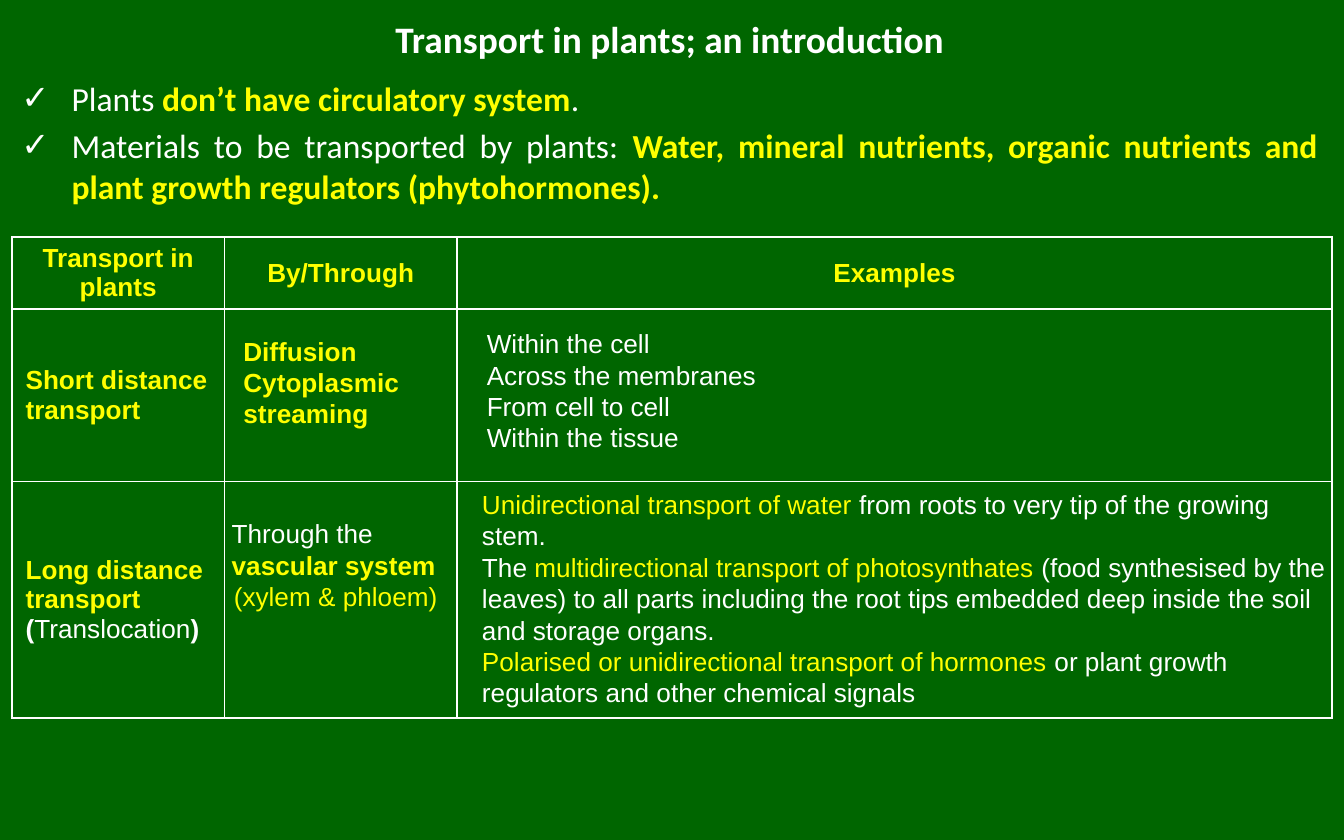
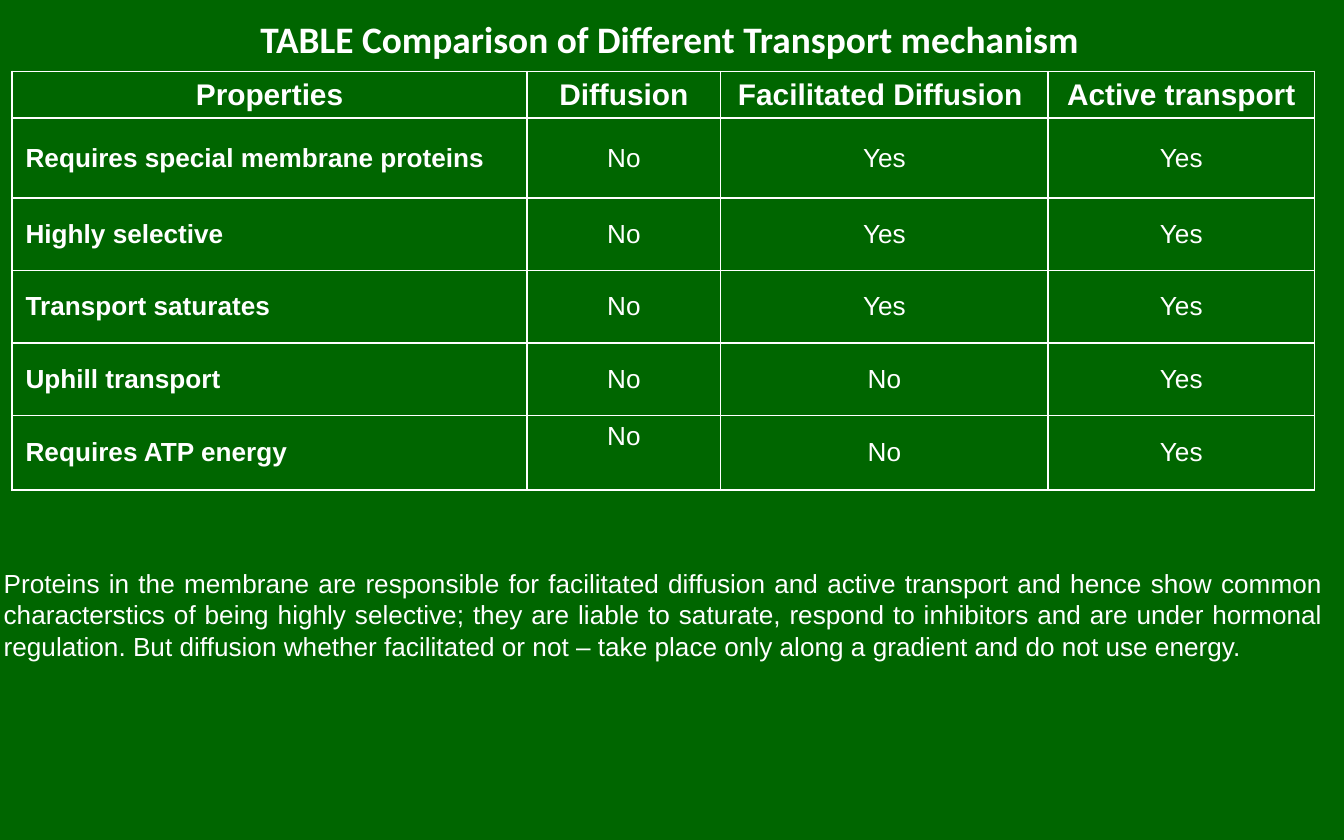
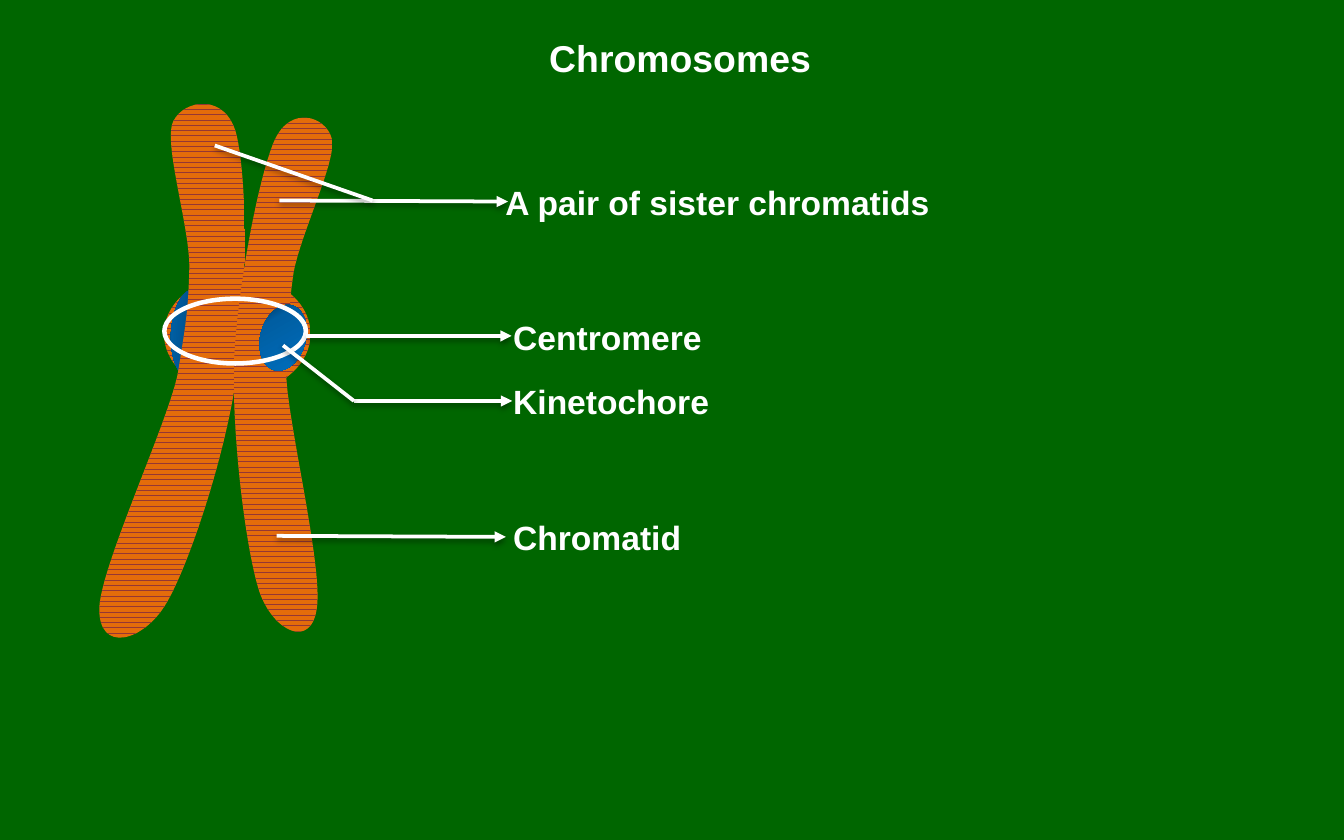
from copy import deepcopy
from dataclasses import dataclass
from math import cos, radians, sin

from lxml.etree import SubElement
from pptx import Presentation
from pptx.dml.color import RGBColor as RGB
from pptx.enum.dml import MSO_PATTERN as PATTERN
from pptx.enum.shapes import MSO_CONNECTOR as CONNECTOR, MSO_SHAPE as SHAPE
from pptx.enum.text import MSO_ANCHOR as ANCHOR, MSO_AUTO_SIZE as AUTO, PP_ALIGN as ALIGN
from pptx.oxml import parse_xml
from pptx.oxml.ns import nsdecls, qn
from pptx.util import Cm, Pt


@dataclass(frozen=True)
class Theme:
    back: str = "006600"
    text: str = "FFFFFF"
    accent: str = "FFFF00"
    ring: str = "EEECE1"
    chromatin: str = "E46C0A"
    waves: str = "953735"
    blues: tuple = ("004272", "005EA2", "0070C0")
    shadow: str = "000000"
    heading_font: str = "Calibri"
    body_font: str = "Arial"
    title: int = 20
    label: int = 18
    table_head: int = 16
    body: int = 14
    border: float = 1
    pointer: float = 2


T = Theme()
ACCENT = dict(color=T.accent)
KEY = dict(color=T.accent, bold=True)
TITLE_BOX = (0.15, 0.1, 25.02, 1.24)


# Text
def add_bullet(p, char, indent=0.95):
    pPr = p._p.get_or_add_pPr()
    pPr.set("marL", str(Cm(indent)))
    pPr.set("indent", str(-Cm(indent)))
    pPr.append(parse_xml(f'<a:buFont {nsdecls("a")} typeface="{T.body_font}"/>'))
    pPr.append(parse_xml(f'<a:buChar {nsdecls("a")} char="{char}"/>'))


def write(tf, paragraphs, size=T.body, font=T.body_font, color=T.text, bold=False,
          align=ALIGN.LEFT, bullet=None, gap=0):
    """A paragraph is a string or a list of runs; a run is a string or (string, format)."""
    if isinstance(paragraphs, str):
        paragraphs = [paragraphs]
    for i, runs in enumerate(paragraphs):
        p = tf.add_paragraph() if i else tf.paragraphs[0]
        p.alignment = align
        p.space_before = Pt(gap if i else 0)
        if bullet:
            add_bullet(p, bullet)
        for run in [runs] if isinstance(runs, str) else runs:
            text, own = (run, {}) if isinstance(run, str) else run
            r = p.add_run()
            r.text = text
            r.font.name, r.font.size = font, Pt(size)
            r.font.bold = own.get("bold", bold)
            r.font.color.rgb = RGB.from_string(own.get("color", color))


def place(sp, box):
    sp.left, sp.top, sp.width, sp.height = map(Cm, box)


def add_title(s, text, box=TITLE_BOX, font=T.heading_font):
    sp = s.shapes.title
    place(sp, box)
    tf = sp.text_frame
    tf.auto_size, tf.vertical_anchor = AUTO.NONE, ANCHOR.MIDDLE
    write(tf, text, size=T.title, font=font, bold=True, align=ALIGN.CENTER)


def add_text(shapes, paragraphs, box, wrap=True, **fmt):
    tf = shapes.add_textbox(*map(Cm, box)).text_frame
    tf.word_wrap, tf.auto_size = wrap, AUTO.SHAPE_TO_FIT_TEXT
    write(tf, paragraphs, **fmt)
    return tf


# Tables
def add_borders(cell):
    tcPr = cell._tc.get_or_add_tcPr()
    for side in ("lnL", "lnR", "lnT", "lnB"):
        tcPr.append(parse_xml(
            f'<a:{side} {nsdecls("a")} w="{Pt(T.border)}"><a:solidFill>'
            f'<a:srgbClr val="{T.text}"/></a:solidFill></a:{side}>'))


def add_grid(s, left, top, widths, heights, cells, color=T.text, head_size=T.body):
    size = map(Cm, (left, top, sum(widths), sum(heights)))
    table = s.shapes.add_table(len(heights), len(widths), *size).table
    table.first_row = table.horz_banding = False
    for column, width in zip(table.columns, widths):
        column.width = Cm(width)
    for i, (row, height) in enumerate(zip(table.rows, heights)):
        row.height = Cm(height)
        for j, cell in enumerate(row.cells):
            add_borders(cell)
            cell.fill.background()
            cell.vertical_anchor = ANCHOR.MIDDLE
            if cells[i][j]:
                write(cell.text_frame, cells[i][j], color=color,
                      size=T.body if i else head_size, bold=i == 0 or j == 0,
                      align=ALIGN.LEFT if i and j == 0 else ALIGN.CENTER)
    return table


# Drawing
def finish(sp):
    sp.shadow.inherit = False
    sp.line.fill.background()


def fill_waves(sp):
    finish(sp)
    sp.fill.patterned()
    sp.fill.pattern = PATTERN.WAVE
    sp.fill.fore_color.rgb = RGB.from_string(T.waves)
    sp.fill.back_color.rgb = RGB.from_string(T.chromatin)


def add_kinetochore(shapes, box, rotation, middle, angle):
    sp = shapes.add_shape(SHAPE.OVAL, *map(Cm, box))
    sp.rotation = rotation
    finish(sp)
    sp.fill.gradient()
    stops = sp._element.spPr.find(".//" + qn("a:gsLst"))
    stops.append(deepcopy(stops[-1]))
    sp.fill.gradient_angle = -angle % 360
    for stop, position, color in zip(sp.fill.gradient_stops, (0.14, middle, 1), T.blues):
        stop.position = position
        stop.color.rgb = RGB.from_string(color)


def add_donut(shapes, box, thickness):
    sp = shapes.add_shape(SHAPE.DONUT, *map(Cm, box))
    sp.adjustments[0] = thickness
    return sp


def trace(points, steps=24):
    """Points along a closed chain of cubic curves, to find how far it reaches."""
    for i in range(0, len(points) - 1, 3):
        for k in range(1, steps + 1):
            t = k / steps
            weights = ((1 - t) ** 3, 3 * t * (1 - t) ** 2, 3 * t * t * (1 - t), t ** 3)
            yield tuple(sum(w * pt[axis] for w, pt in zip(weights, points[i:i + 4]))
                        for axis in (0, 1))


def add_chromatid(shapes, points, rotation=0, centre=(0, 0)):
    """Closed outline: a start, then two handles and an end for each curve.

    It is turned upright about its centre, and the shape's rotation tilts it again.
    """
    c, n = cos(radians(rotation)), sin(radians(rotation))
    cx, cy = centre
    upright = [(Cm(cx + (x - cx) * c + (y - cy) * n), Cm(cy - (x - cx) * n + (y - cy) * c))
               for x, y in points + points[:1]]
    xs, ys = zip(*trace(upright))
    left, top, right, bottom = min(xs), min(ys), max(xs), max(ys)
    builder = shapes.build_freeform(left, top)
    builder.add_line_segments([(right, top), (right, bottom), (left, bottom)])
    sp = builder.convert_to_shape()
    sp.rotation = rotation

    # Curves take the place of the frame's straight sides
    outline = sp._element.spPr.find(".//" + qn("a:path"))
    for side in list(outline):
        outline.remove(side)
    parts = [("a:moveTo", upright[:1])]
    parts += [("a:cubicBezTo", upright[i:i + 3]) for i in range(1, len(upright), 3)]
    for tag, ends in parts:
        part = SubElement(outline, qn(tag))
        for x, y in ends:
            SubElement(part, qn("a:pt"), x=str(round(x - left)), y=str(round(y - top)))
    SubElement(outline, qn("a:close"))
    fill_waves(sp)


def add_pointer(shapes, start, end, arrow):
    line = shapes.add_connector(CONNECTOR.STRAIGHT, *map(Cm, start + end))
    line.line.color.rgb = RGB.from_string(T.text)
    line.line.width = Pt(T.pointer)
    if arrow:
        line.line._get_or_add_ln().append(
            parse_xml(f'<a:tailEnd {nsdecls("a")} type="triangle"/>'))
    line._element.spPr.append(parse_xml(
        f'<a:effectLst {nsdecls("a")}><a:outerShdw blurRad="{Pt(3.1)}" dist="{Pt(1.6)}" '
        f'dir="5400000" rotWithShape="0"><a:srgbClr val="{T.shadow}"><a:alpha val="38000"/>'
        '</a:srgbClr></a:outerShdw></a:effectLst>'))


def add_callout(s, text, box, *pointers):
    """A label with its pointers; the first one carries the arrowhead."""
    shapes = s.shapes.add_group_shape().shapes
    add_text(shapes, text, box, wrap=False, size=T.label, bold=True)
    for i, (start, end) in enumerate(pointers):
        add_pointer(shapes, start, end, arrow=i == 0)


# Slides
def introduction_slide(prs):
    s = prs.slides.add_slide(prs.slide_layouts[1])
    add_title(s, "Transport in plants; an introduction")
    body = s.placeholders[1]
    place(body, (0.15, 1.35, 25.02, 2.77))
    body.text_frame.auto_size = AUTO.NONE
    write(body.text_frame, [
        ["Plants ", ("don’t have circulatory system", KEY), ". "],
        ["Materials to be transported by plants: ",
         ("Water, mineral nutrients, organic nutrients and plant growth regulators "
          "(phytohormones).", KEY)],
    ], size=T.label, font=T.heading_font, align=ALIGN.JUSTIFY, bullet="✓", gap=3.6)

    white = dict(color=T.text)
    add_grid(s, 0.23, 4.48, (4.01, 4.4, 16.53), (1.36, 3.26, 4.47), [
        ["Transport in plants", "By/Through", "Examples"],
        ["Short distance transport", "", ""],
        [["Long distance transport",
          [("(", white), ("Translocation", dict(color=T.text, bold=False)), (")", white)]],
         "", ""],
    ], color=T.accent)

    add_text(s.shapes, ["Diffusion", "Cytoplasmic streaming"], (4.35, 6.21, 4.06, 2.06), **KEY)
    add_text(s.shapes, ["Within the cell", "Across the membranes", "From cell to cell",
                        "Within the tissue"], (8.95, 6.07, 11.84, 2.64))
    vascular = add_text(s.shapes, [["Through the ", ("vascular system", KEY)],
                                   [("(xylem & phloem) ", ACCENT)]], (4.13, 9.66, 4.57, 2.06))
    vascular.paragraphs[1].alignment = ALIGN.CENTER
    add_text(s.shapes, [
        [("Unidirectional transport of water", ACCENT),
         " from roots to very tip of the growing stem."],
        ["The ", ("multidirectional transport of photosynthates ", ACCENT),
         "(food synthesised by the leaves) to all parts including the root tips embedded "
         "deep inside the soil and storage organs."],
        [("Polarised or unidirectional transport of hormones", ACCENT),
         " or plant growth regulators and other chemical signals"],
    ], (8.86, 9.11, 16.54, 4.45))


def comparison_slide(prs):
    s = prs.slides.add_slide(prs.slide_layouts[5])
    add_title(s, "TABLE Comparison of Different Transport mechanism")
    heights = (0.88, 1.51) + (1.37,) * 3 + (1.41,)
    table = add_grid(s, 0.23, 1.35, (9.73, 3.66, 6.19, 5.03), heights, [
        ["Properties", "Diffusion", "Facilitated Diffusion ", "Active transport"],
        ["Requires special membrane proteins", "No", "Yes", "Yes"],
        ["Highly selective", "No", "Yes", "Yes"],
        ["Transport saturates", "No", "Yes", "Yes"],
        ["Uphill transport", "No", "No", "Yes"],
        ["Requires ATP energy", "No", "No", "Yes"],
    ], head_size=T.table_head)
    table.cell(5, 1).vertical_anchor = ANCHOR.TOP
    add_text(s.shapes,
             "Proteins in the membrane are responsible for facilitated diffusion and active "
             "transport and hence show common characterstics of being highly selective; they "
             "are liable to saturate, respond to inhibitors and are under hormonal regulation. "
             "But diffusion whether facilitated or not – take place only along a gradient and "
             "do not use energy. ", (-0.18, 10.6, 25.45, 2.06), align=ALIGN.JUSTIFY)


def chromosome_slide(prs):
    s = prs.slides.add_slide(prs.slide_layouts[5])
    add_title(s, "Chromosomes", (10.1, 0.53, 5.51, 1.12), T.body_font)

    # Chromosome
    chromosome = s.shapes.add_group_shape().shapes
    fill_waves(add_donut(chromosome, (3.1, 5.21, 2.77, 2.21), 0.495))
    add_kinetochore(chromosome, (3.23, 5.46, 0.81, 1.7), 183.1, 0.9, 0)
    add_chromatid(chromosome, [
        (4.47, 7.11), (4.7, 5.61), (4.67, 3.35), (4.47, 2.54), (4.27, 1.75), (3.48, 1.88),
        (3.28, 2.29), (3.07, 2.69), (3.61, 4.34), (3.58, 5.11), (3.56, 5.87), (3.51, 6.15),
        (3.38, 6.96), (3.28, 7.77), (1.93, 10.62), (1.88, 11.48), (1.85, 12.37),
        (2.72, 12.14), (3.15, 11.4), (3.58, 10.67), (4.27, 8.59),
    ], rotation=10.4, centre=(3.43, 7.09))
    add_chromatid(chromosome, [
        (4.42, 6.91), (4.47, 5.51), (4.88, 3.38), (5.18, 2.67), (5.49, 1.96), (6.17, 2.21),
        (6.27, 2.62), (6.38, 3.02), (5.64, 4.5), (5.54, 5.21), (5.44, 5.92), (5.46, 6.2),
        (5.41, 6.99), (5.38, 7.75), (6.1, 10.64), (5.99, 11.48), (5.89, 12.29),
        (5.16, 11.94), (4.9, 11.18), (4.65, 10.41), (4.39, 8.33),
    ])
    add_kinetochore(chromosome, (4.92, 5.75, 0.86, 1.27), 15.2, 0.29, 45)

    # Ring around the centromere
    ring = add_donut(s.shapes, (3.1, 5.64, 2.69, 1.24), 0.012)
    ring.shadow.inherit = False
    ring.fill.solid()
    ring.fill.fore_color.rgb = RGB.from_string(T.ring)
    ring.line.color.rgb = RGB.from_string(T.text)
    ring.line.width = Pt(T.pointer)

    # Labels
    add_callout(s, "Centromere", (9.45, 5.87, 4.11, 1.02), ((5.79, 6.35), (9.67, 6.35)))
    add_callout(s, "Kinetochore", (9.45, 7.08, 4.24, 1.02),
                ((6.69, 7.58), (9.68, 7.58)), ((5.35, 6.53), (6.69, 7.58)))
    add_callout(s, "A pair of sister chromatids", (9.3, 3.31, 8.64, 1.02),
                ((5.28, 3.79), (9.6, 3.81)), ((7.04, 3.79), (4.06, 2.75)))
    add_callout(s, "Chromatid", (9.45, 9.65, 3.71, 1.02), ((5.23, 10.13), (9.56, 10.15)))


def main():
    prs = Presentation()
    prs.slide_width, prs.slide_height = Cm(25.4), Cm(15.88)
    back = prs.slide_master.background.fill
    back.solid()
    back.fore_color.rgb = RGB.from_string(T.back)
    introduction_slide(prs)
    comparison_slide(prs)
    chromosome_slide(prs)
    prs.save("out.pptx")


if __name__ == "__main__":
    main()
